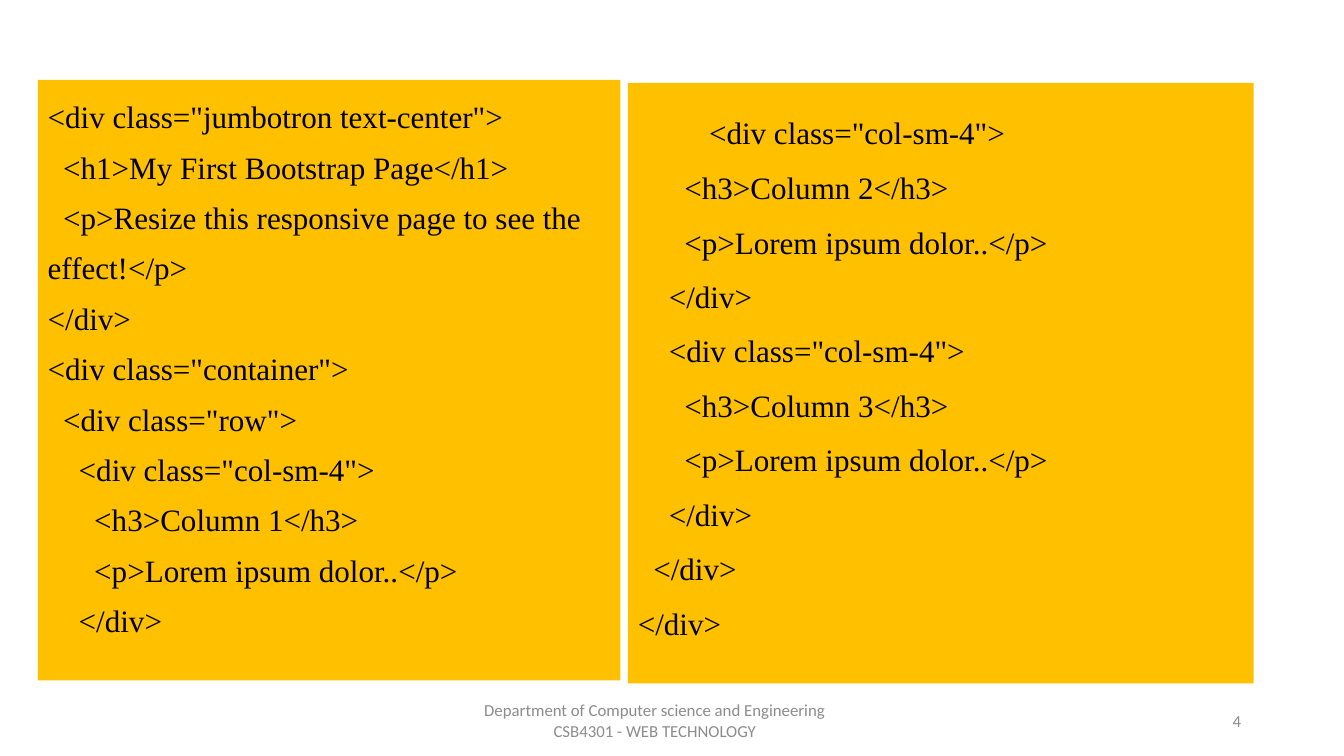
from pptx import Presentation
from pptx.dml.color import RGBColor
from pptx.enum.shapes import MSO_SHAPE
from pptx.enum.text import MSO_ANCHOR, PP_ALIGN
from pptx.util import Emu, Pt

PX = 9525  # EMU in one px
PAGE_SIZE = (1280, 720)

AMBER = RGBColor(0xFF, 0xC0, 0x00)
BLACK = RGBColor(0x00, 0x00, 0x00)
GRAY = RGBColor(0x8C, 0x8C, 0x8C)

CODE_FONT, CODE_SIZE = "Times New Roman", 22.2
FOOTER_FONT, FOOTER_SIZE = "Calibri", 12

LEFT_CODE = """<div class="jumbotron text-center">
  <h1>My First Bootstrap Page</h1>
  <p>Resize this responsive page to see the effect!</p>
</div>
<div class="container">
  <div class="row">
    <div class="col-sm-4">
      <h3>Column 1</h3>
      <p>Lorem ipsum dolor..</p>
    </div>"""

RIGHT_INDENT = "       "
RIGHT_CODE = """ <div class="col-sm-4">
      <h3>Column 2</h3>
      <p>Lorem ipsum dolor..</p>
    </div>
    <div class="col-sm-4">
      <h3>Column 3</h3>
      <p>Lorem ipsum dolor..</p>
    </div>
  </div>
</div>"""

FOOTER = "Department of Computer science and Engineering\nCSB4301 - WEB TECHNOLOGY"


def px(*lengths):
    return [Emu(length * PX) for length in lengths]


def add_text(para, text, *, font, size, color):
    """Add text to a paragraph, with a line break at each newline."""
    for index, line in enumerate(text.split("\n")):
        if index:
            para.add_line_break()
        span = para.add_run()
        span.text = line
        span.font.name = font
        span.font.size = Pt(size)
        span.font.color.rgb = color


def add_code_panel(page, box, code, *, line_spacing, indent="", indent_size=CODE_SIZE):
    panel = page.shapes.add_shape(MSO_SHAPE.RECTANGLE, *px(*box))
    panel.shadow.inherit = False
    panel.fill.solid()
    panel.fill.fore_color.rgb = AMBER
    panel.line.fill.background()
    frame = panel.text_frame
    frame.word_wrap = True
    frame.vertical_anchor = MSO_ANCHOR.TOP
    para = frame.paragraphs[0]
    para.alignment = PP_ALIGN.LEFT
    para.line_spacing = line_spacing
    if indent:
        add_text(para, indent, font=CODE_FONT, size=indent_size, color=BLACK)
    add_text(para, code, font=CODE_FONT, size=CODE_SIZE, color=BLACK)


def add_footer_text(page, box, text, *, align, right_inset=10):
    frame = page.shapes.add_textbox(*px(*box)).text_frame
    frame.word_wrap = True
    frame.vertical_anchor = MSO_ANCHOR.MIDDLE
    frame.margin_right = px(right_inset)[0]
    para = frame.paragraphs[0]
    para.alignment = align
    add_text(para, text, font=FOOTER_FONT, size=FOOTER_SIZE, color=GRAY)


def main():
    deck = Presentation()
    deck.slide_width, deck.slide_height = px(*PAGE_SIZE)
    page = deck.slides.add_slide(deck.slide_layouts[6])

    # Code listing in two panels
    add_code_panel(page, (36, 76, 555, 572), LEFT_CODE, line_spacing=1.35)
    add_code_panel(page, (598, 79, 596, 572), RIGHT_CODE, line_spacing=1.46,
                   indent=RIGHT_INDENT, indent_size=25.9)

    # Footer and page number
    add_footer_text(page, (424, 667, 432, 38), FOOTER,
                    align=PP_ALIGN.CENTER, right_inset=42)
    add_footer_text(page, (904, 667, 288, 38), "4", align=PP_ALIGN.RIGHT)

    deck.save("out.pptx")


if __name__ == "__main__":
    main()
